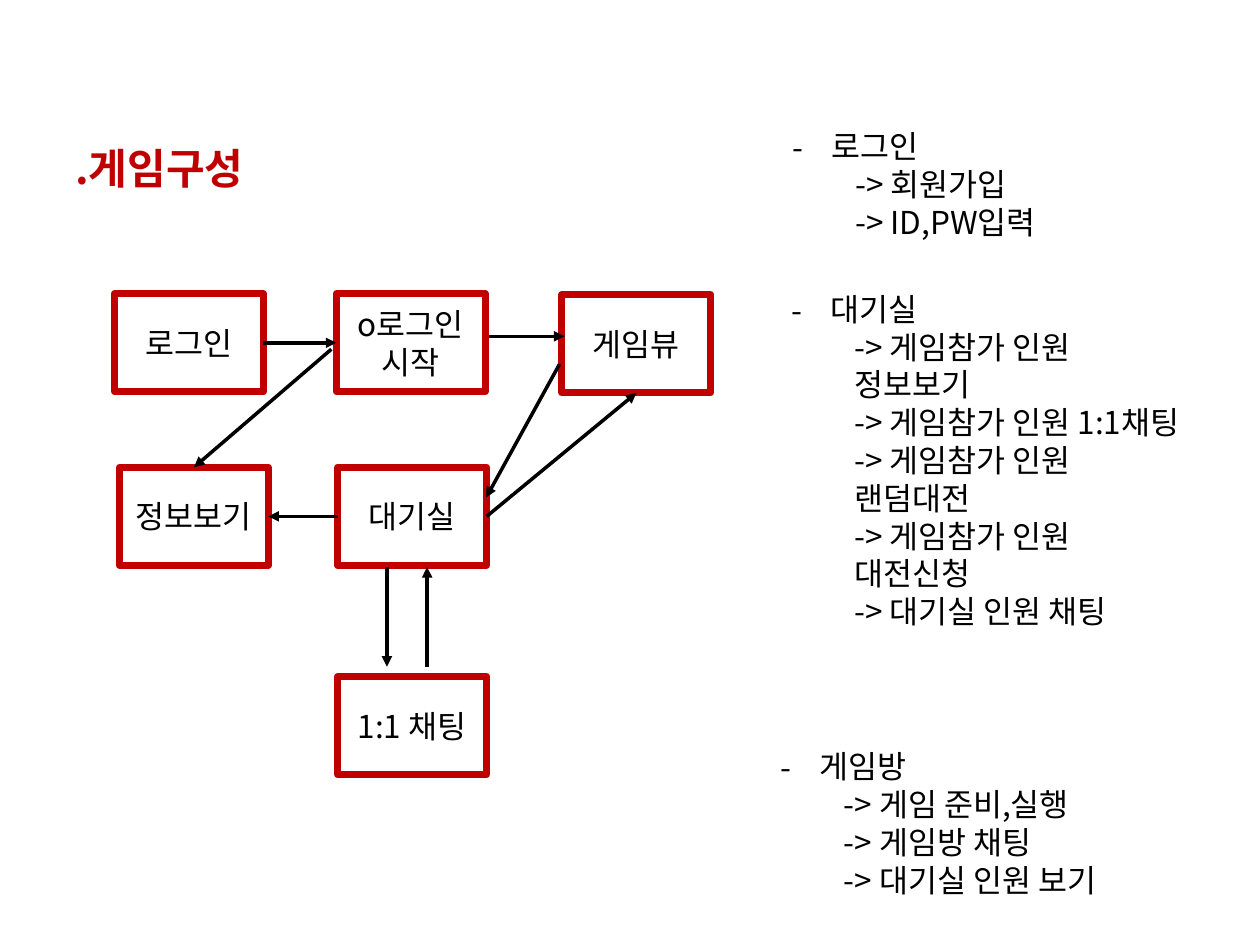
import lxml.etree
import pptx
import pptx.dml.color
import pptx.enum.shapes
import pptx.enum.text
import pptx.oxml.ns
import pptx.util

FONT = "Noto Sans CJK KR"
RED = "C00000"
BLACK = "000000"
STEP_WIDTH, STEP_HEIGHT = 3, 1.98

STEPS = {
    "login": (0, 0, ["로그인"]),
    "start": (4.47, 0, ["o로그인", "시작"]),
    "game": (9.02, 0.02, ["게임뷰"]),
    "info": (0.1, 3.5, ["정보보기"]),
    "lobby": (4.5, 3.5, ["대기실"]),
    "chat": (4.5, 7.72, ["1:1 채팅"]),
}

ARROWS = [
    (("login", 3), ("start", 1)),
    ((7.54, 0.86), (9.07, 0.86)),
    ((4.37, 1.12), ("info", 0)),
    ((8.97, 1.42), (7.49, 4.11)),
    (("lobby", 3), ("game", 2)),
    (("lobby", 1), ("info", 3)),
    ((5.49, 5.51), (5.49, 7.52)),
    ((6.3, 7.52), (6.3, 5.51)),
]

NOTES = [
    ((15.72, 2.44, 8.41, 3.33), "로그인", ["회원가입", "ID,PW입력"]),
    (
        (15.7, 5.72, 8.41, 8.71),
        "대기실",
        [
            "게임참가 인원 정보보기",
            "게임참가 인원 1:1채팅",
            "게임참가 인원 랜덤대전",
            "게임참가 인원 대전신청",
            "대기실 인원 채팅",
        ],
    ),
    (
        (15.49, 14.94, 8.41, 4.11),
        "게임방",
        ["게임 준비,실행", "게임방 채팅", "대기실 인원 보기"],
    ),
]


def color(value):
    """Turn a hex string into a colour."""
    return pptx.dml.color.RGBColor.from_string(value)


def add_child(parent, tag, **attributes):
    """Append a drawing element to the parent."""
    return lxml.etree.SubElement(parent, pptx.oxml.ns.qn(tag), attributes)


def add_run(paragraph, text, size=18, hex_color=BLACK, bold=False):
    """Add one formatted run to the paragraph."""
    run = paragraph.add_run()
    run.text = text
    run.font.size = pptx.util.Pt(size)
    run.font.bold = bold
    run.font.color.rgb = color(hex_color)
    run.font.name = FONT
    add_child(run.font._element, "a:ea", typeface=FONT)


def get_paragraph(text_frame, index):
    """Return the first paragraph or add a further one."""
    return text_frame.add_paragraph() if index else text_frame.paragraphs[0]


def add_text_frame(slide, box):
    """Add a wrapping text box and return its text frame."""
    shape = slide.shapes.add_textbox(*map(pptx.util.Cm, box))
    shape.text_frame.word_wrap = True
    return shape.text_frame


def add_title(slide, box):
    """Place the slide heading."""
    paragraph = add_text_frame(slide, box).paragraphs[0]
    paragraph.line_spacing = 2.5
    add_run(paragraph, ".게임구성", 24, RED, True)


def add_step(slide, left, top, lines):
    """Place one outlined step of the flow."""
    shape = slide.shapes.add_shape(
        pptx.enum.shapes.MSO_SHAPE.RECTANGLE,
        *map(pptx.util.Cm, (left, top, STEP_WIDTH, STEP_HEIGHT)),
    )
    shape.shadow.inherit = False
    shape.fill.background()
    shape.line.color.rgb = color(RED)
    shape.line.width = pptx.util.Pt(4)
    shape.text_frame.word_wrap = True
    shape.text_frame.vertical_anchor = pptx.enum.text.MSO_ANCHOR.MIDDLE
    for index, line in enumerate(lines):
        paragraph = get_paragraph(shape.text_frame, index)
        paragraph.alignment = pptx.enum.text.PP_ALIGN.CENTER
        add_run(paragraph, line)
    return shape


def add_arrow(slide, left, top, steps, start, end):
    """Draw an arrow between points or step sides."""
    points = [
        (0, 0) if point[0] in steps else (left + point[0], top + point[1])
        for point in (start, end)
    ]
    connector = slide.shapes.add_connector(
        pptx.enum.shapes.MSO_CONNECTOR.STRAIGHT,
        *(pptx.util.Cm(value) for point in points for value in point),
    )
    for point, connect in ((start, connector.begin_connect), (end, connector.end_connect)):
        if point[0] in steps:
            connect(steps[point[0]], point[1])
    connector.line.color.rgb = color(BLACK)
    connector.line.width = pptx.util.Pt(2)
    add_child(connector.line._get_or_add_ln(), "a:tailEnd", type="triangle")
    add_child(connector._element.spPr, "a:effectLst")


def add_flow(slide, left, top):
    """Place the game flow with its steps and arrows."""
    steps = {
        name: add_step(slide, left + x, top + y, lines)
        for name, (x, y, lines) in STEPS.items()
    }
    for start, end in ARROWS:
        add_arrow(slide, left, top, steps, start, end)


def add_note(slide, box, heading, items):
    """Place a dashed heading with its indented items."""
    text_frame = add_text_frame(slide, box)
    for index, text in enumerate([heading] + [f"-> {item}" for item in items]):
        paragraph = get_paragraph(text_frame, index)
        properties = paragraph._p.get_or_add_pPr()
        if index:
            paragraph.level = 1
            properties.set("marL", str(pptx.util.Cm(1.27)))
            properties.set("indent", "0")
        else:
            properties.set("marL", str(pptx.util.Cm(0.79)))
            properties.set("indent", str(-pptx.util.Cm(0.79)))
            add_child(properties, "a:buFont", typeface=FONT)
            add_child(properties, "a:buChar", char="-")
        add_run(paragraph, text)


def main():
    """Build and save the presentation."""
    presentation = pptx.Presentation()
    presentation.slide_width = pptx.util.Cm(25.4)
    presentation.slide_height = pptx.util.Cm(19.05)
    slide = presentation.slides.add_slide(presentation.slide_layouts[6])
    add_title(slide, (1.27, 1.22, 6.35, 2.82))
    add_flow(slide, 2.31, 5.92)
    for box, heading, items in NOTES:
        add_note(slide, box, heading, items)
    presentation.save("out.pptx")


if __name__ == "__main__":
    main()
